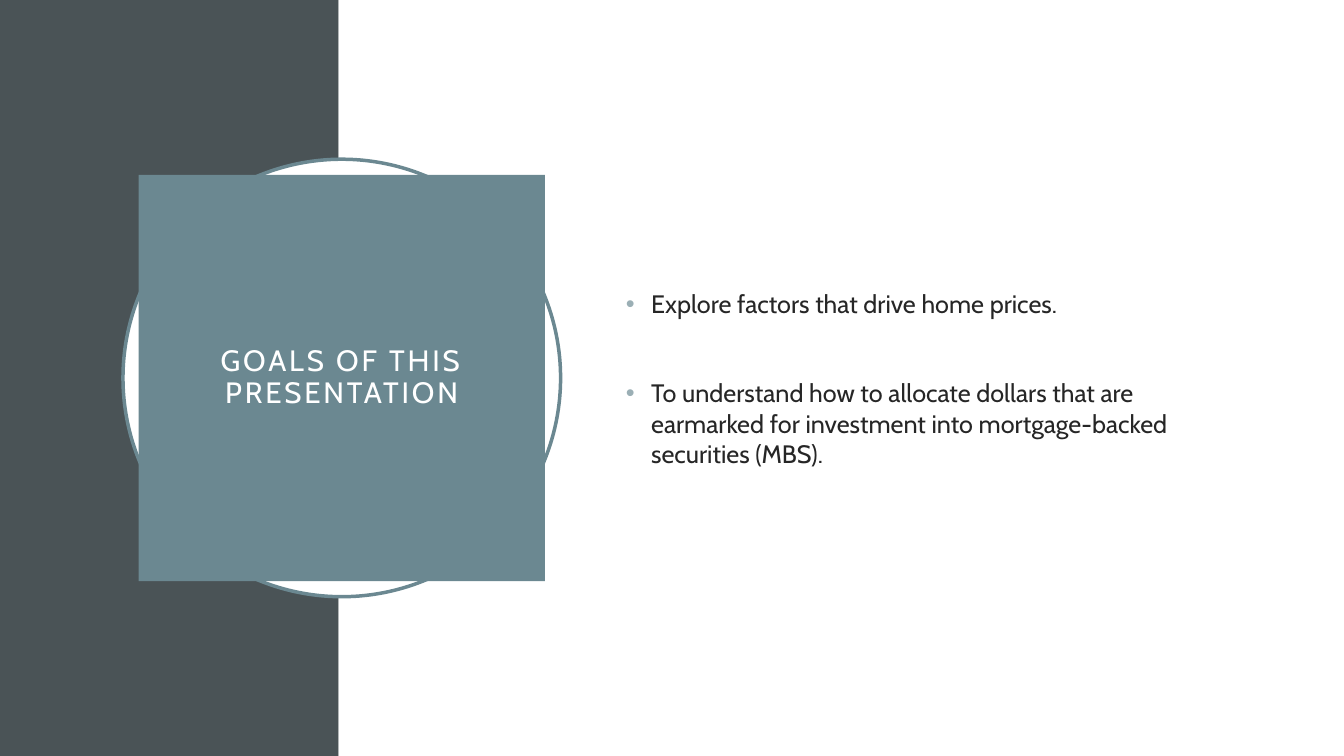
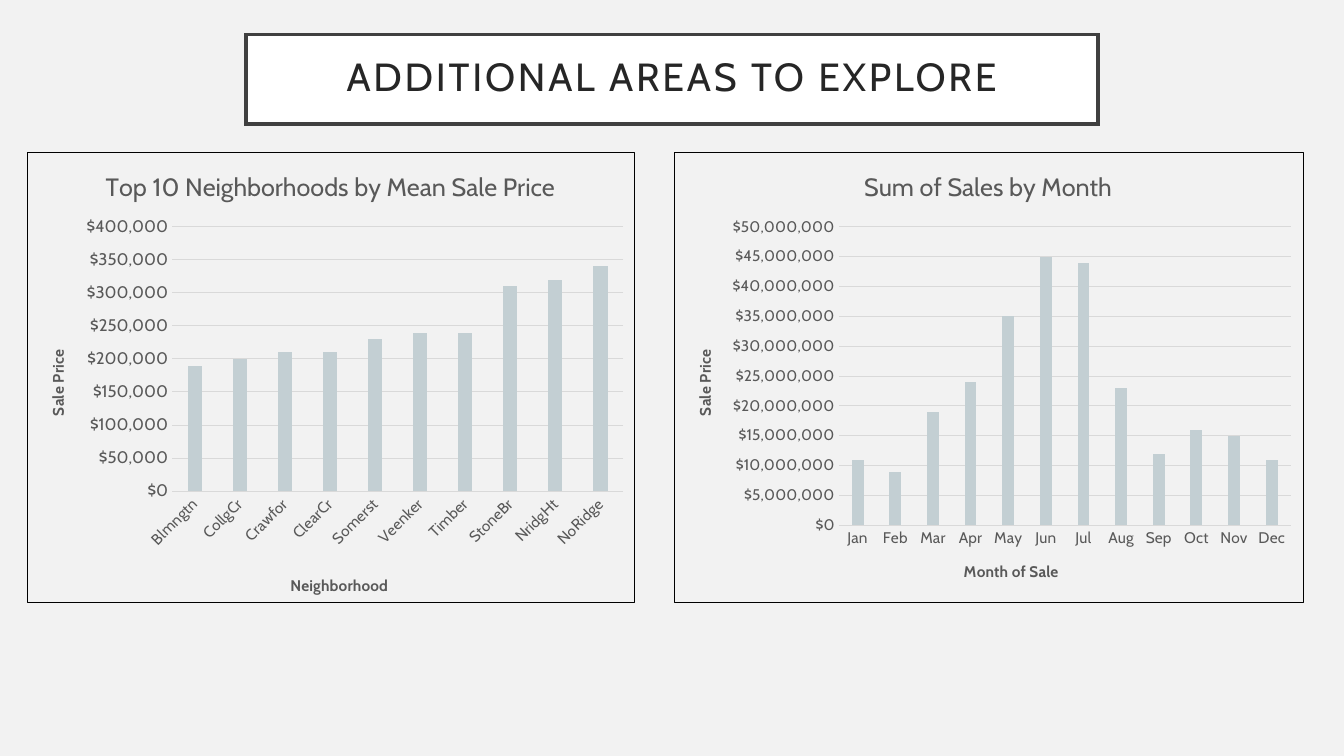
from lxml import etree
from pptx import Presentation
from pptx.chart.data import CategoryChartData
from pptx.dml.color import RGBColor
from pptx.enum.chart import XL_CHART_TYPE, XL_TICK_MARK
from pptx.enum.shapes import MSO_SHAPE
from pptx.enum.text import MSO_ANCHOR, PP_ALIGN
from pptx.oxml import parse_xml
from pptx.oxml.ns import nsdecls, qn
from pptx.util import Inches, Pt

RECT, OVAL = MSO_SHAPE.RECTANGLE, MSO_SHAPE.OVAL
CENTER, MIDDLE = PP_ALIGN.CENTER, MSO_ANCHOR.MIDDLE
COLUMNS, NO_TICK = XL_CHART_TYPE.COLUMN_CLUSTERED, XL_TICK_MARK.NONE

# Shared style
W, H = 13.33, 7.5
FONT = "Cabin"
WHITE, SLATE, TEAL, PALE_TEAL = "FFFFFF", "4A5356", "6B8891", "9BAFB5"
INK, FRAME, GREY, GRID = "262626", "404040", "595959", "D9D9D9"
PAPER, BAR, BLACK = "F2F2F2", "C3CFD3", "000000"

# Content
GOALS_TITLE = "GOALS OF THIS PRESENTATION"
GOALS = [  # text, space before in points
    ("Explore factors that drive home prices.", 10),
    ("To understand how to allocate dollars that are earmarked for "
     "investment into mortgage-backed securities (MBS).", 42),
]
EXPLORE_TITLE = "ADDITIONAL AREAS TO EXPLORE"
# Places inside a chart are shares of that chart's size
CHARTS = [
    dict(title="Top 10 Neighborhoods by Mean Sale Price", x_title="Neighborhood",
         cats="Blmngtn CollgCr Crawfor ClearCr Somerst Veenker Timber StoneBr "
              "NridgHt NoRidge".split(),
         thousands=[190, 200, 210, 210, 230, 240, 240, 310, 320, 340],
         top=400, step=50, value_size=12, tilt=-45, left=0.27, width=6.03,
         plot=(0.238, 0.165, 0.743, 0.588), title_at=(0.121, 0.027),
         x_title_at=(0.428, 0.933)),
    dict(title="Sum of Sales by Month", x_title="Month of Sale",
         cats="Jan Feb Mar Apr May Jun Jul Aug Sep Oct Nov Dec".split(),
         thousands=[n * 1000 for n in
                    (11, 9, 19, 24, 35, 45, 44, 23, 12, 16, 15, 11)],
         top=50000, step=5000, value_size=11, tilt=0, left=6.68, width=6.25,
         plot=(0.262, 0.165, 0.718, 0.664), title_at=(0.295, 0.027),
         x_title_at=(0.456, 0.903)),
]
Y_TITLE, Y_TITLE_AT = "Sale Price", (0.028, 0.432)
CHART_TOP, CHART_HEIGHT = 1.51, 4.47


def rgb(color):
    return RGBColor.from_string(color)


def style(font, size, color, bold=False):
    font.name, font.size, font.bold = FONT, Pt(size), bold
    font.color.rgb = rgb(color)


def add_slide(background):
    s = prs.slides.add_slide(prs.slide_layouts[6])
    s.background.fill.solid()
    s.background.fill.fore_color.rgb = rgb(background)
    return s


def add_box(s, kind, box, fill, line=None):
    sp = s.shapes.add_shape(kind, *map(Inches, box))
    sp.shadow.inherit = False
    sp.fill.solid()
    sp.fill.fore_color.rgb = rgb(fill)
    if line:
        sp.line.color.rgb = rgb(line)
        sp.line.width = Pt(2.5)
        ln = sp._element.spPr.find(qn("a:ln"))
        etree.SubElement(ln, qn("a:miter"), lim="800000")
    else:
        sp.line.fill.background()
    return sp


def add_title(s, text, box, fill, size, color, line=None):
    tf = add_box(s, RECT, box, fill, line).text_frame
    tf.word_wrap, tf.vertical_anchor = True, MIDDLE
    tf.margin_left = tf.margin_right = tf.margin_top = tf.margin_bottom = Inches(0.2)
    tf.text = text
    p = tf.paragraphs[0]
    p.alignment, p.line_spacing = CENTER, 0.9
    r = p.runs[0]
    style(r.font, size, color)
    r.font._element.set("spc", "200")


def add_bullets(s, items, box):
    tf = s.shapes.add_textbox(*map(Inches, box)).text_frame
    tf.word_wrap, tf.vertical_anchor = True, MIDDLE
    tf.text = "\n".join(text for text, _ in items)
    for p, (_, before) in zip(tf.paragraphs, items):
        p.space_before = Pt(before)
        style(p.runs[0].font, 18, INK)
        pPr = p._p.get_or_add_pPr()
        pPr.set("marL", str(Inches(0.25)))
        pPr.set("indent", str(-Inches(0.25)))
        color = etree.SubElement(pPr, qn("a:buClr"))
        etree.SubElement(color, qn("a:srgbClr"), val=PALE_TEAL)
        etree.SubElement(pPr, qn("a:buFont"), typeface="Arial")
        etree.SubElement(pPr, qn("a:buChar"), char="•")


def layout_xml(place, inner=False):
    parts = [("layoutTarget", "inner")] if inner else []
    parts += [("xMode", "edge"), ("yMode", "edge")] + list(zip("xywh", place))
    body = "".join(f'<c:{tag} val="{val}"/>' for tag, val in parts)
    return parse_xml(f'<c:layout {nsdecls("c")}><c:manualLayout>{body}'
                     '</c:manualLayout></c:layout>')


def drop_layout(element):
    for old in element.findall(qn("c:layout")):
        element.remove(old)


def set_title(owner, text, size, place, bold=False):
    title = owner.chart_title if hasattr(owner, "chart_title") else owner.axis_title
    title.text_frame.text = text
    style(title.text_frame.paragraphs[0].runs[0].font, size, GREY, bold)
    element = title._element
    drop_layout(element)
    element.find(qn("c:tx")).addnext(layout_xml(place))


def add_column_chart(s, c):
    data = CategoryChartData()
    data.categories = c["cats"]
    data.add_series("Series 1", [n * 1000 for n in c["thousands"]])
    box = (c["left"], CHART_TOP, c["width"], CHART_HEIGHT)
    chart = s.shapes.add_chart(COLUMNS, *map(Inches, box), data).chart
    chart.has_legend = False
    style(chart.font, 10, BLACK)

    # Columns
    plot = chart.plots[0]
    plot.gap_width, plot.overlap, plot.vary_by_categories = 219, -27, False
    fill = plot.series[0].format.fill
    fill.solid()
    fill.fore_color.rgb = rgb(BAR)

    # Axes
    cat, val = chart.category_axis, chart.value_axis
    for axis, size in ((cat, 11), (val, c["value_size"])):
        axis.major_tick_mark = axis.minor_tick_mark = NO_TICK
        style(axis.tick_labels.font, size, GREY)
    val.minimum_scale = 0
    val.maximum_scale, val.major_unit = c["top"] * 1000, c["step"] * 1000
    val.tick_labels.number_format = "[$$-409]#,##0"
    val.tick_labels.number_format_is_linked = False
    val.format.line.fill.background()
    for line in (cat.format.line, val.major_gridlines.format.line):
        line.color.rgb = rgb(GRID)
        line.width = Pt(0.75)
    cat._element.find(qn("c:txPr")).find(qn("a:bodyPr")).set(
        "rot", str(c["tilt"] * 60000))

    # Titles and plot area
    set_title(chart, c["title"], 18, c["title_at"])
    set_title(cat, c["x_title"], 11, c["x_title_at"], True)
    set_title(val, Y_TITLE, 11, Y_TITLE_AT, True)
    body = val.axis_title._element.find(".//" + qn("a:bodyPr"))
    body.set("rot", "-5400000")
    body.set("vert", "horz")
    area = chart._chartSpace.find(qn("c:chart")).find(qn("c:plotArea"))
    drop_layout(area)
    area.insert(0, layout_xml(c["plot"], inner=True))

    # Border
    chart._chartSpace.find(qn("c:chart")).addnext(parse_xml(
        f'<c:spPr {nsdecls("c", "a")}><a:noFill/><a:ln w="{Pt(0.75)}"><a:solidFill>'
        f'<a:srgbClr val="{BLACK}"/></a:solidFill></a:ln></c:spPr>'))


prs = Presentation()
prs.slide_width, prs.slide_height = Inches(W), Inches(H)

# Goals: dark band, ring and square share one centre
s = add_slide(WHITE)
BAND, CENTER_X, RING, SQUARE = 3.36, 3.39, 4.34, 4.03
add_box(s, RECT, (0, 0, BAND, H), SLATE)
add_box(s, RECT, (BAND, 0, W - BAND, H), WHITE)
ring, square = [(CENTER_X - d / 2, (H - d) / 2, d, d) for d in (RING, SQUARE)]
add_box(s, OVAL, ring, WHITE, TEAL)
add_title(s, GOALS_TITLE, square, TEAL, 21, WHITE)
add_bullets(s, GOALS, (6.11, 1.54, 5.82, 4.43))

# Areas to explore: framed title above two charts
s = add_slide(PAPER)
TITLE_W = 8.45
add_title(s, EXPLORE_TITLE, ((W - TITLE_W) / 2, 0.34, TITLE_W, 0.89),
          WHITE, 28, INK, FRAME)
for c in CHARTS:
    add_column_chart(s, c)

prs.save("out.pptx")
